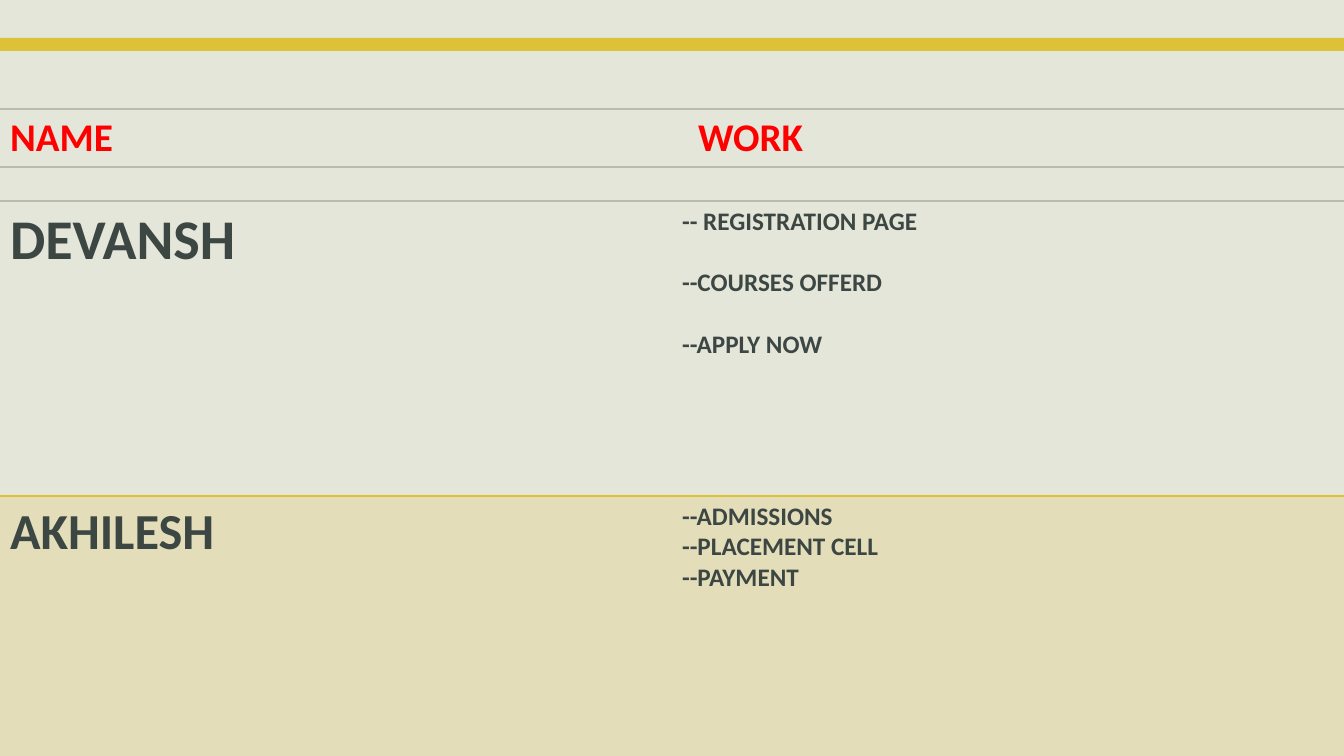
from lxml import etree
from pptx import Presentation
from pptx.dml.color import RGBColor
from pptx.enum.shapes import MSO_SHAPE
from pptx.oxml.ns import qn
from pptx.util import Pt

RECT = MSO_SHAPE.RECTANGLE
NO_STYLE = "{2D5ABB26-0587-4C30-8999-92F81FD0307C}"
SLIDE_W, SLIDE_H = 1344, 756
GOLD, GREY, DARK, RED, PAPER = "DDC237", "B9BCB0", "3C4743", "FF0000", "E5E6DA"


def px(n):
    return round(n * 914400 / 100.8)


def rgb(value):
    return RGBColor.from_string(value)


def add_band(s, top, height):
    sp = s.shapes.add_shape(RECT, 0, px(top), px(SLIDE_W), px(height))
    sp.shadow.inherit = False
    sp.fill.solid()
    sp.fill.fore_color.rgb = rgb(GOLD)
    sp.line.fill.background()


def add_plain_table(s, top, row_height, rows, cols):
    """Add a full-width table without style, banding or header row."""
    frame = s.shapes.add_table(rows, cols, 0, px(top), px(SLIDE_W), px(row_height * rows))
    table = frame.table
    table.first_row = table.horz_banding = False
    table._tbl.tblPr.find(qn("a:tableStyleId")).text = NO_STYLE
    for row in table.rows:
        row.height = px(row_height)
    return table


def set_borders(cell, top, bottom):
    tcPr = cell._tc.get_or_add_tcPr()
    for tag, color in (("a:lnT", top), ("a:lnB", bottom)):
        ln = etree.SubElement(tcPr, qn(tag), w=str(Pt(1)))
        fill = etree.SubElement(ln, qn("a:solidFill"))
        etree.SubElement(fill, qn("a:srgbClr"), val=color)


def set_fill(cell, color, percent):
    cell.fill.solid()
    cell.fill.fore_color.rgb = rgb(color)
    clr = cell._tc.tcPr.find(qn("a:solidFill")).find(qn("a:srgbClr"))
    etree.SubElement(clr, qn("a:alpha"), val=str(percent * 1000))


def write_lines(cell, lines, size, color, gap=0, tab=None):
    tf = cell.text_frame
    for i, line in enumerate(lines):
        p = tf.paragraphs[0] if i == 0 else tf.add_paragraph()
        if tab:
            tabs = etree.SubElement(p._p.get_or_add_pPr(), qn("a:tabLst"))
            etree.SubElement(tabs, qn("a:tab"), pos=str(px(tab)), algn="l")
        if i and gap:
            p.space_before = Pt(gap)
        r = p.add_run()
        r.text = line
        r.font.color.rgb = rgb(color)
        for name, value in {"name": "Calibri", "size": Pt(size), "bold": True}.items():
            setattr(r.font, name, value)


def add_heading(s):
    cell = add_plain_table(s, 109, 58, 1, 1).cell(0, 0)
    set_borders(cell, GREY, GREY)
    write_lines(cell, ["NAME\tWORK"], 28, RED, tab=688)


def add_work_table(s):
    people = [
        ("DEVANSH", 40, ["-- REGISTRATION PAGE", "--COURSES OFFERD", "--APPLY NOW"],
         22, GREY, None),
        ("AKHILESH", 36, ["--ADMISSIONS", "--PLACEMENT CELL", "--PAYMENT"],
         0, GOLD, GOLD),
    ]
    table = add_plain_table(s, 201, 295, len(people), 2)
    for row, (name, size, work, gap, top, tint) in zip(table.rows, people):
        name_cell, work_cell = row.cells
        for cell in (name_cell, work_cell):
            set_borders(cell, top, GOLD)
            if tint:
                set_fill(cell, tint, 20)
        write_lines(name_cell, [name], size, DARK)
        write_lines(work_cell, work, 18, DARK, gap)


def main():
    prs = Presentation()
    prs.slide_width, prs.slide_height = px(SLIDE_W), px(SLIDE_H)
    s = prs.slides.add_slide(prs.slide_layouts[6])
    s.background.fill.solid()
    s.background.fill.fore_color.rgb = rgb(PAPER)
    add_band(s, 38, 13)
    add_heading(s)
    add_work_table(s)
    prs.save("out.pptx")


if __name__ == "__main__":
    main()
